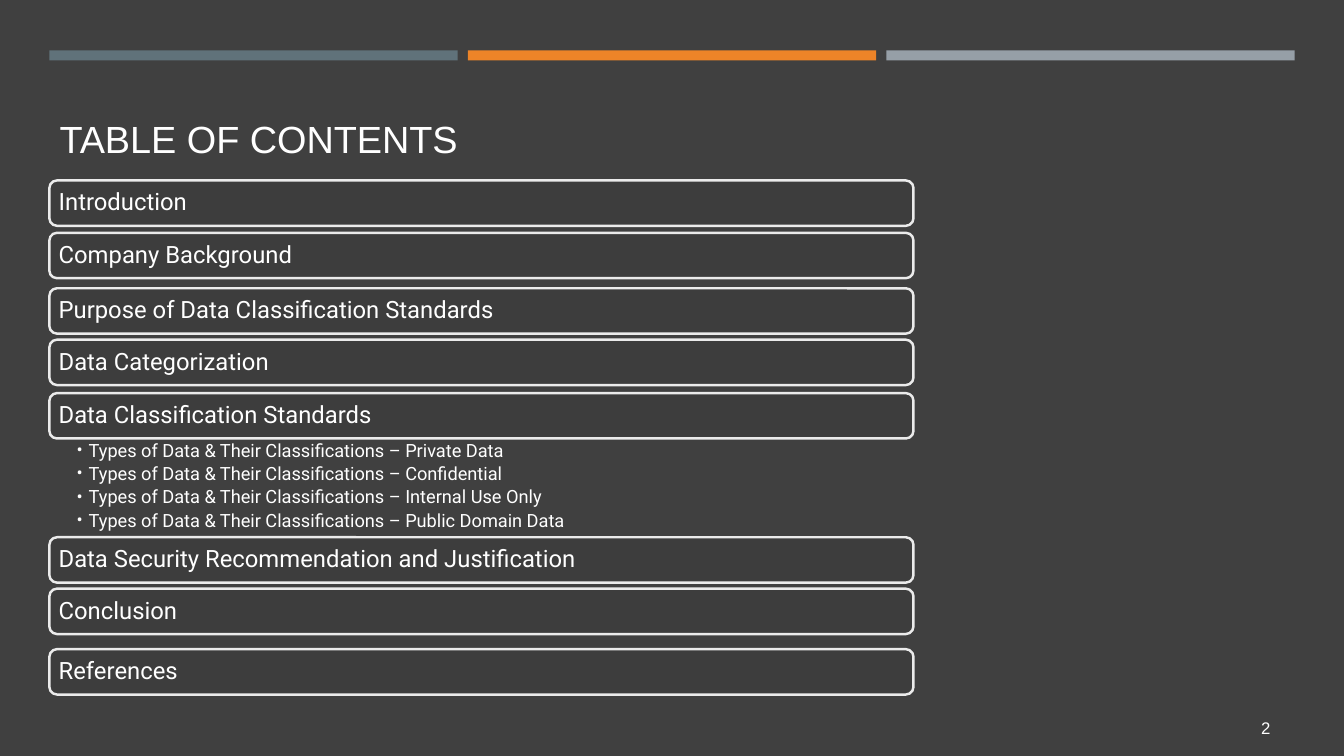
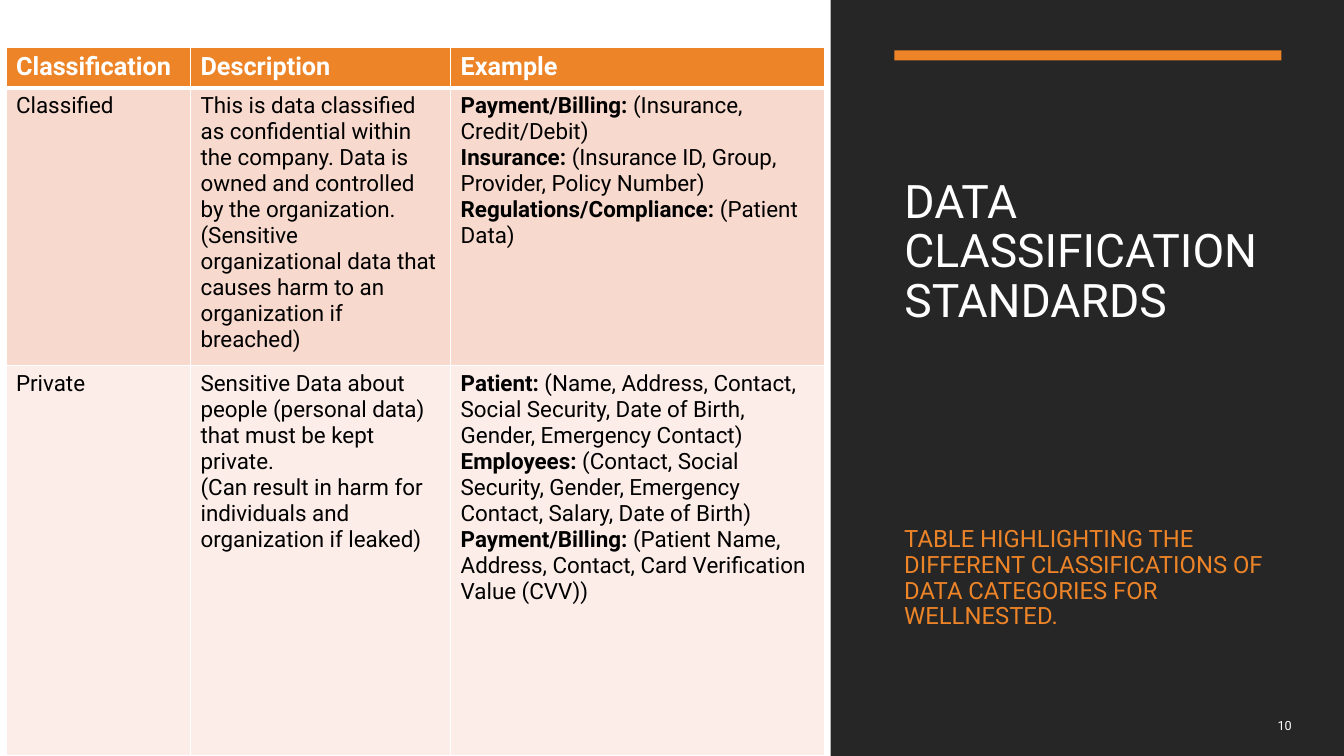
"""Build a contents slide and a data classification table slide."""
from lxml import etree
from pptx import Presentation
from pptx.dml.color import RGBColor
from pptx.enum.shapes import MSO_SHAPE
from pptx.enum.text import MSO_ANCHOR, MSO_AUTO_SIZE, PP_ALIGN
from pptx.oxml.ns import qn
from pptx.util import Inches, Pt

RECT, ROUNDED = MSO_SHAPE.RECTANGLE, MSO_SHAPE.ROUNDED_RECTANGLE
TOP, MIDDLE, BOTTOM = MSO_ANCHOR.TOP, MSO_ANCHOR.MIDDLE, MSO_ANCHOR.BOTTOM
LEFT, RIGHT = PP_ALIGN.LEFT, PP_ALIGN.RIGHT
NO_FIT = MSO_AUTO_SIZE.NONE
TITLE_ONLY = 5

COLORS = {
    "page": "404040", "box": "3D3D3D", "outline": "EBEBEB", "panel": "262626",
    "slate": "60727A", "orange": "ED8428", "silver": "969FA7",
    "white": "FFFFFF", "black": "000000", "odd": "F8D9CD", "even": "FCEDE8",
}
WIDTH, HEIGHT = 13.33, 7.5
MARGIN, COLUMN, GUTTER = 0.49, 4.05, 0.1
BAND_TOP, BAND_HEIGHT = 0.5, 0.1
BOX_WIDTH, BOX_HEIGHT = 8.57, 0.45
PANEL_LEFT, PANEL_TEXT_LEFT, PANEL_TEXT_WIDTH = 8.24, 8.87, 3.84
INSETS = (0.1, 0.05, 0.1, 0.05)
TIGHT = 0.9

CONTENTS = [
    (1.79, "Introduction"),
    (2.31, "Company Background"),
    (2.86, "Purpose of Data Classification Standards"),
    (3.37, "Data Categorization"),
    (3.9, "Data Classification Standards"),
    (5.33, "Data Security Recommendation and Justification"),
    (5.84, "Conclusion"),
    (6.44, "References"),
]
DATA_TYPES = ["Private Data", "Confidential", "Internal Use Only", "Public Domain Data"]

TABLE_COLUMNS = [1.83, 2.58, 3.71]
TABLE_ROWS = [0.4, 2.76, 3.87]
TABLE = [
    [[("Classification", "")], [("Description", "")], [("Example", "")]],
    [
        [("", "Classified")],
        [("", "This is data classified as confidential within the company. Data is "
              "owned and controlled by the organization. (Sensitive organizational "
              "data that causes harm to an organization if breached)")],
        [("Payment/Billing: ", "(Insurance, Credit/Debit)"),
         ("Insurance: ", "(Insurance ID, Group, Provider, Policy Number)"),
         ("Regulations/Compliance: ", "(Patient Data)")],
    ],
    [
        [("", "Private")],
        [("", "Sensitive Data about people (personal data) that must be kept private."),
         ("", "(Can result in harm for individuals and organization if leaked)")],
        [("Patient:", " (Name, Address, Contact, Social Security, Date of Birth, "
                      "Gender, Emergency Contact)"),
         ("Employees: ", "(Contact, Social Security, Gender, Emergency Contact, "
                         "Salary, Date of Birth)"),
         ("Payment/Billing: ", "(Patient Name, Address, Contact, Card Verification "
                               "Value (CVV))")],
    ],
]


def rgb(name):
    """Return a palette colour."""
    return RGBColor.from_string(COLORS[name])


def assign(target, values):
    """Set attributes from a dict of format values."""
    for name, value in values.items():
        setattr(target, name, value)


def paint(fill, color):
    """Make a fill solid."""
    fill.solid()
    fill.fore_color.rgb = rgb(color)


def lay_out(frame, anchor=TOP, insets=INSETS):
    """Set wrapping, anchor and insets of a text frame."""
    sides = ("margin_left", "margin_top", "margin_right", "margin_bottom")
    assign(frame, {"word_wrap": True, "auto_size": NO_FIT, "vertical_anchor": anchor})
    assign(frame, dict(zip(sides, map(Inches, insets))))


def write(frame, paragraphs, size, color="white", font="Roboto", **layout):
    """Write paragraphs of (bold label, plain detail) pairs."""
    for index, pair in enumerate(paragraphs):
        para = frame.add_paragraph() if index else frame.paragraphs[0]
        assign(para, {"alignment": LEFT, **layout})
        for text, bold in zip(pair, (True, False)):
            if text:
                span = para.add_run()
                span.text = text
                assign(span.font, {"size": Pt(size), "name": font, "bold": bold})
                span.font.color.rgb = rgb(color)


def add_block(page, area, color, kind=RECT):
    """Add a filled shape without outline or shadow."""
    block = page.shapes.add_shape(kind, *map(Inches, area))
    block.shadow.inherit = False
    paint(block.fill, color)
    block.line.fill.background()
    return block


def add_text(page, area, lines, size, anchor=TOP, insets=INSETS, **style):
    """Add a wrapped text box."""
    box = page.shapes.add_textbox(*map(Inches, area))
    lay_out(box.text_frame, anchor, insets)
    write(box.text_frame, [("", line) for line in lines], size, **style)
    return box


def add_page(deck, background):
    """Add a title-only slide with a plain background."""
    page = deck.slides.add_slide(deck.slide_layouts[TITLE_ONLY])
    paint(page.background.fill, background)
    return page


def set_title(page, area, text, size, anchor, insets=INSETS, font="Roboto"):
    """Place and format the title placeholder."""
    title = page.shapes.title
    assign(title, dict(zip(("left", "top", "width", "height"), map(Inches, area))))
    lay_out(title.text_frame, anchor, insets)
    write(title.text_frame, [("", text)], size, font=font, line_spacing=TIGHT)


def add_number(page, area, number, size, font="Roboto"):
    """Add the slide number."""
    add_text(page, area, [number], size, MIDDLE, font=font, alignment=RIGHT)


def add_entry(page, top, text):
    """Add an outlined contents entry."""
    box = add_block(page, (MARGIN, top, BOX_WIDTH, BOX_HEIGHT), "box", ROUNDED)
    box.line.color.rgb = rgb("outline")
    box.line.width = Pt(1.75)
    lay_out(box.text_frame, MIDDLE, (0.07, 0.05, 0.07, 0.05))
    write(box.text_frame, [("", text)], 17, line_spacing=TIGHT)


def add_bullets(box, indent):
    """Give each paragraph a hanging bullet."""
    for para in box.text_frame.paragraphs:
        props = para._p.get_or_add_pPr()
        props.set("marL", str(Inches(indent)))
        props.set("indent", str(-Inches(indent)))
        etree.SubElement(props, qn("a:buFont"), typeface="Roboto")
        etree.SubElement(props, qn("a:buChar")).set("char", "•")


def add_borders(cell, widths):
    """Draw white cell borders from a dict of side to points."""
    props = cell._tc.get_or_add_tcPr()
    for side, width in widths.items():
        line = etree.SubElement(props, qn(f"a:ln{side}"), w=str(Pt(width)))
        fill = etree.SubElement(line, qn("a:solidFill"))
        etree.SubElement(fill, qn("a:srgbClr"), val=COLORS["white"])


def add_classification_table(page):
    """Add the table of classes, descriptions and examples."""
    area = (0.06, 0.47, sum(TABLE_COLUMNS), sum(TABLE_ROWS))
    table = page.shapes.add_table(
        len(TABLE_ROWS), len(TABLE_COLUMNS), *map(Inches, area)).table
    for column, width in zip(table.columns, TABLE_COLUMNS):
        column.width = Inches(width)
    looks = [("orange", 18, "white"), ("odd", 16, "black"), ("even", 16, "black")]
    for index, (row, height, look) in enumerate(zip(table.rows, TABLE_ROWS, looks)):
        row.height = Inches(height)
        fill, size, color = look
        borders = {"L": 1, "R": 1, "T": 3 if index == 1 else 1, "B": 1 if index else 3}
        for cell, paragraphs in zip(row.cells, TABLE[index]):
            add_borders(cell, borders)
            paint(cell.fill, fill)
            write(cell.text_frame, paragraphs, size, color)


def build_contents(deck):
    """Build the table of contents."""
    page = add_page(deck, "page")
    set_title(page, (MARGIN, 0.88, 12.21, 0.77), "TABLE OF CONTENTS", 27, BOTTOM,
              font="Arial")
    for index, color in enumerate(("slate", "orange", "silver")):
        left = MARGIN + index * (COLUMN + GUTTER)
        add_block(page, (left, BAND_TOP, COLUMN, BAND_HEIGHT), color)
    for top, text in CONTENTS:
        add_entry(page, top, text)
    lines = [f"Types of Data & Their Classifications – {kind}" for kind in DATA_TYPES]
    box = add_text(page, (MARGIN, 4.36, BOX_WIDTH, 0.98), lines, 13,
                   insets=(0.27, 0.02, 0.13, 0.02), line_spacing=TIGHT,
                   space_after=Pt(2.6))
    add_bullets(box, 0.12)
    add_number(page, (11.55, 7.02, 1.15, 0.4), "2", 12, "Arial")


def build_standards(deck):
    """Build the classification table beside a dark title panel."""
    page = add_page(deck, "panel")
    add_block(page, (0, 0, PANEL_LEFT, HEIGHT), "white")
    add_block(page, (PANEL_TEXT_LEFT, BAND_TOP, PANEL_TEXT_WIDTH, BAND_HEIGHT), "orange")
    set_title(page, (PANEL_TEXT_LEFT, 0.94, PANEL_TEXT_WIDTH, 4.13),
              "DATA CLASSIFICATION STANDARDS", 33, MIDDLE, (0.1, 0.05, 0.1, 1.04))
    add_text(page, (PANEL_TEXT_LEFT, 5.18, PANEL_TEXT_WIDTH, 1.25),
             ["TABLE HIGHLIGHTING THE DIFFERENT CLASSIFICATIONS OF DATA CATEGORIES "
              "FOR WELLNESTED."], 17, color="orange", line_spacing=TIGHT)
    add_number(page, (11.8, 7, 1.11, 0.4), "10", 9)
    add_classification_table(page)


def main():
    """Build and save the deck."""
    deck = Presentation()
    assign(deck, {"slide_width": Inches(WIDTH), "slide_height": Inches(HEIGHT)})
    build_contents(deck)
    build_standards(deck)
    deck.save("out.pptx")


if __name__ == "__main__":
    main()
